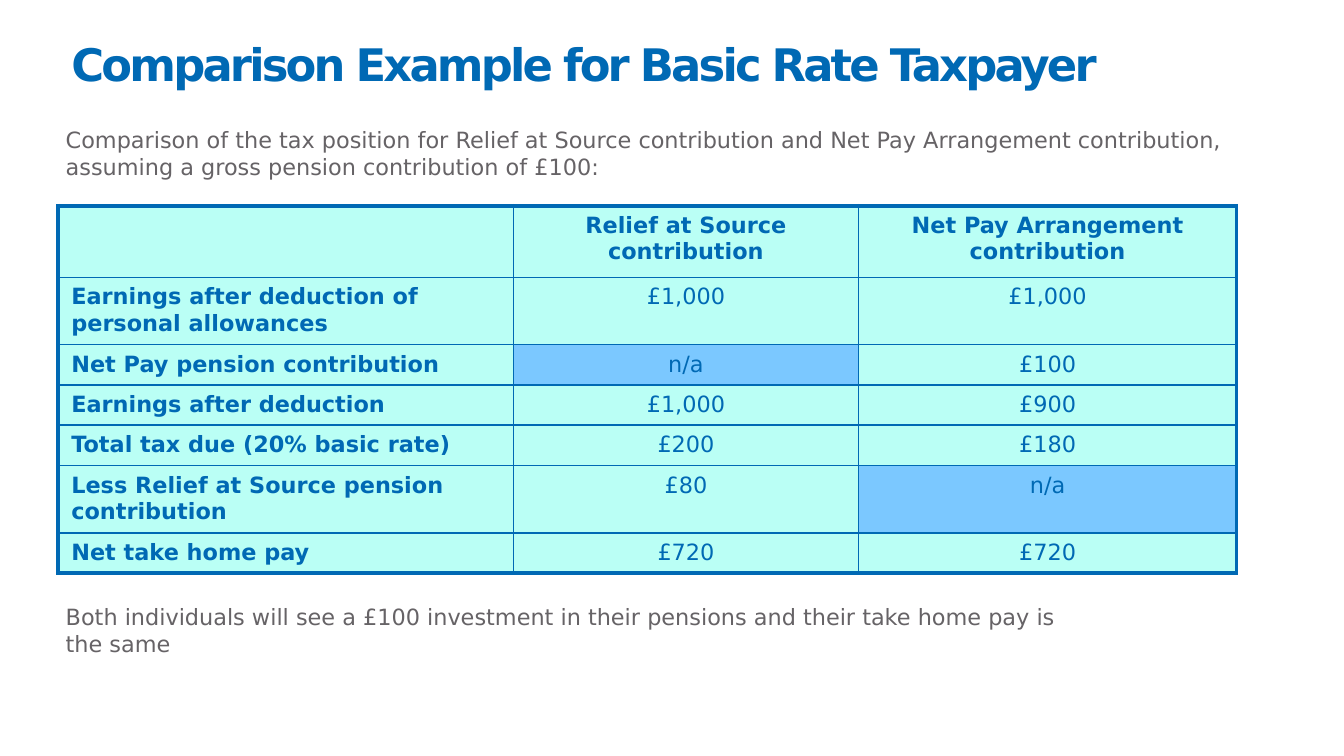
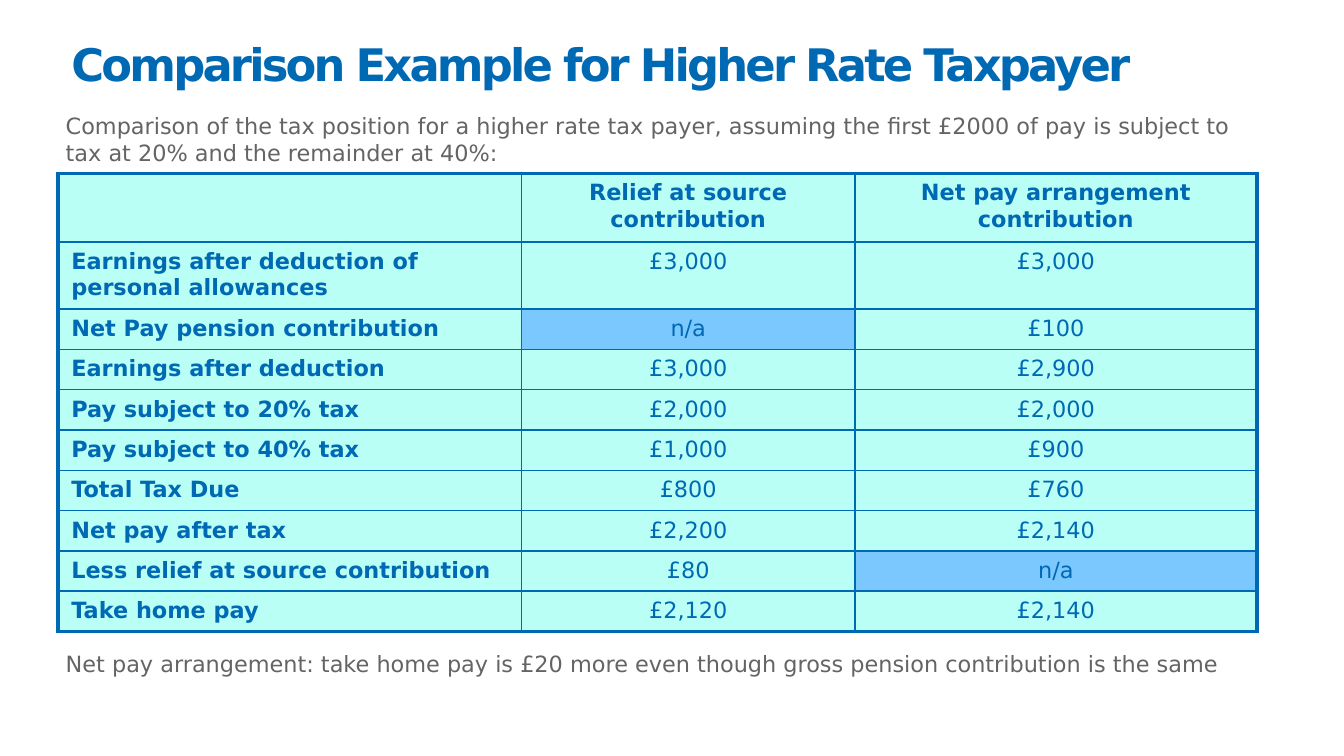
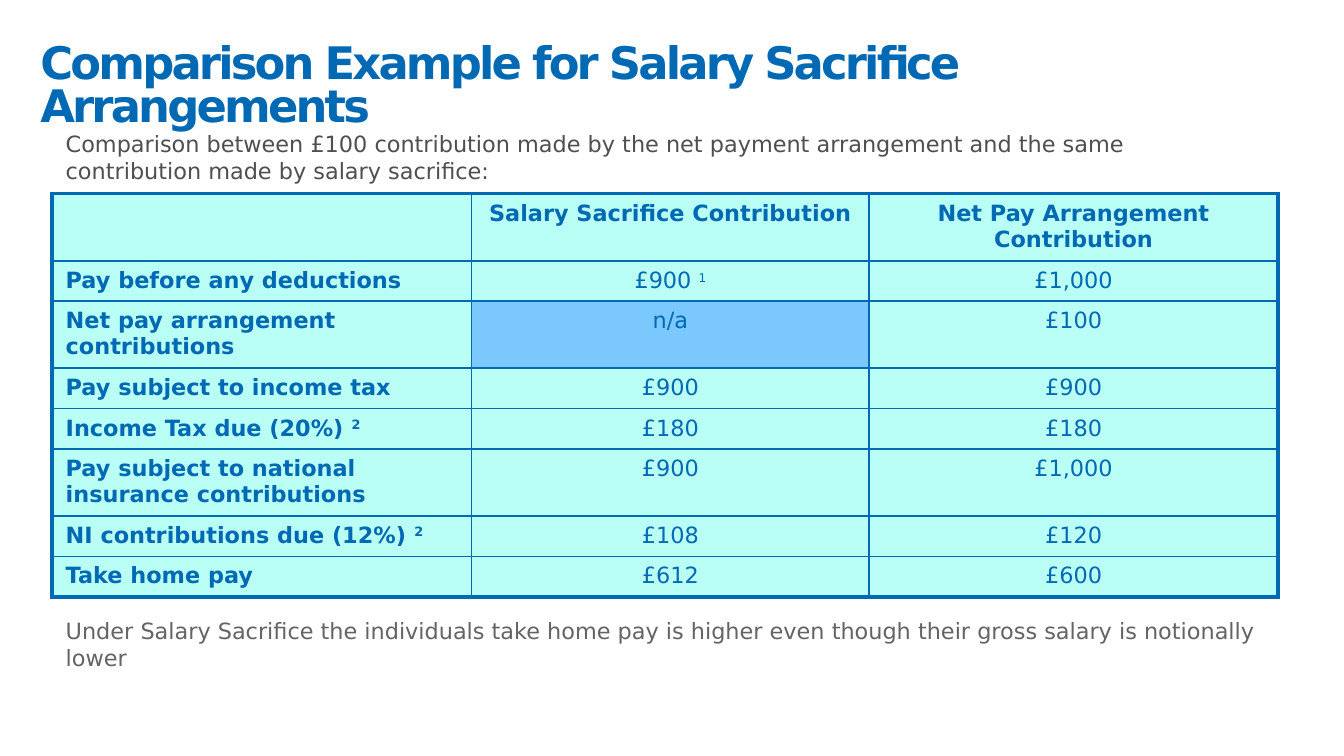
import pptx
import pptx.dml.color
import pptx.enum.text
import pptx.oxml
import pptx.oxml.ns
import pptx.util

Pt = pptx.util.Pt
FONT = "DejaVu Sans"
BLUE = "0069B4"
GREY = "666366"
DARK_GREY = "4F4E50"
MINT = "BAFFF5"
SKY = "7BC8FF"
OUTER_BORDER = 2.25
INNER_BORDER = 1
LINE_HEIGHT = 14.4
CELL_PADDING = 7.2
LEFT = pptx.enum.text.PP_ALIGN.LEFT
CENTER = pptx.enum.text.PP_ALIGN.CENTER


def color(hex_string):
    return pptx.dml.color.RGBColor.from_string(hex_string)


def format_paragraph(paragraph, size, hex_string, bold=False, alignment=LEFT):
    paragraph.alignment = alignment
    paragraph.font.name = FONT
    paragraph.font.size = Pt(size)
    paragraph.font.bold = bold
    paragraph.font.color.rgb = color(hex_string)


def place(shape, left, top, width, height):
    shape.left, shape.top = Pt(left), Pt(top)
    shape.width, shape.height = Pt(width), Pt(height)
    shape.text_frame.auto_size = pptx.enum.text.MSO_AUTO_SIZE.NONE
    shape.text_frame.word_wrap = True


def fill_title(slide, text, box):
    shape = slide.shapes.title
    place(shape, *box)
    shape.text_frame.vertical_anchor = pptx.enum.text.MSO_ANCHOR.MIDDLE
    paragraph = shape.text_frame.paragraphs[0]
    format_paragraph(paragraph, 24, BLUE, bold=True)
    paragraph.line_spacing = 0.8
    run = paragraph.add_run()
    run.text = text
    run._r.get_or_add_rPr().set("spc", "-150")


def fill_body(slide, index, text, box, hex_string=GREY):
    shape = slide.placeholders[index]
    place(shape, *box)
    shape.text_frame.text = text
    paragraph = shape.text_frame.paragraphs[0]
    format_paragraph(paragraph, 12, hex_string)
    paragraph.space_before = Pt(0)
    properties = paragraph._p.get_or_add_pPr()
    properties.set("marL", "0")
    properties.set("indent", "0")
    bullet = pptx.oxml.parse_xml(f"<a:buNone {pptx.oxml.ns.nsdecls('a')}/>")
    properties.find(pptx.oxml.ns.qn("a:defRPr")).addprevious(bullet)


def add_border(cell, side, width):
    cell._tc.get_or_add_tcPr().append(pptx.oxml.parse_xml(
        f'<a:ln{side} {pptx.oxml.ns.nsdecls("a")} w="{Pt(width)}">'
        f'<a:solidFill><a:srgbClr val="{BLUE}"/></a:solidFill></a:ln{side}>'))


def fill_cell(cell, text, is_label, is_header):
    cell.fill.solid()
    cell.fill.fore_color.rgb = color(SKY if text == "n/a" else MINT)
    paragraph = cell.text_frame.paragraphs[0]
    format_paragraph(paragraph, 12, BLUE, bold=is_label or is_header,
                     alignment=LEFT if is_label else CENTER)
    if not text:
        return
    main_text, _, footnote = text.partition("^")
    paragraph.add_run().text = main_text
    if footnote:
        run = paragraph.add_run()
        run.text = footnote
        run.font.size = Pt(12 if is_label else 11)
        run._r.get_or_add_rPr().set("baseline", "30000")


def add_comparison_table(slide, left, top, column_widths, header_height, headers, rows):
    heights = [header_height] + [CELL_PADDING + LINE_HEIGHT * lines for lines, *_ in rows]
    texts = [("", *headers)] + [row[1:] for row in rows]
    frame = slide.shapes.add_table(len(texts), len(column_widths), Pt(left), Pt(top),
                                   Pt(sum(column_widths)), Pt(sum(heights)))
    table = frame.table
    table.first_row = False
    table.horz_banding = False
    for column, width in zip(table.columns, column_widths):
        column.width = Pt(width)
    last_row, last_column = len(texts) - 1, len(column_widths) - 1
    for row_index, row_texts in enumerate(texts):
        table.rows[row_index].height = Pt(heights[row_index])
        for column_index, text in enumerate(row_texts):
            cell = table.cell(row_index, column_index)
            edges = {"L": column_index == 0, "R": column_index == last_column,
                     "T": row_index == 0, "B": row_index == last_row}
            for side, is_outer in edges.items():
                add_border(cell, side, OUTER_BORDER if is_outer else INNER_BORDER)
            fill_cell(cell, text, column_index == 0, row_index == 0)


def add_comparison_slide(presentation, title, title_box, intro, intro_box, table,
                         conclusion, conclusion_box, intro_color=GREY):
    slide = presentation.slides.add_slide(presentation.slide_layouts.get_by_name("Two Content"))
    fill_body(slide, 1, intro, intro_box, intro_color)
    fill_title(slide, title, title_box)
    add_comparison_table(slide, **table)
    fill_body(slide, 2, conclusion, conclusion_box)


def main():
    presentation = pptx.Presentation()
    presentation.slide_width, presentation.slide_height = Pt(720), Pt(405)
    title_box = (31, 10, 624, 53.5)

    add_comparison_slide(
        presentation,
        "Comparison Example for Basic Rate Taxpayer", title_box,
        "Comparison of the tax position for Relief at Source contribution and Net Pay "
        "Arrangement contribution, assuming a gross pension contribution of £100:",
        (28, 64, 642, 44),
        dict(left=31, top=110.2, column_widths=(244, 185, 202.5), header_height=38.4,
             headers=("Relief at Source contribution", "Net Pay Arrangement contribution"),
             rows=[
                 (2, "Earnings after deduction of personal allowances", "£1,000", "£1,000"),
                 (1, "Net Pay pension contribution", "n/a", "£100"),
                 (1, "Earnings after deduction", "£1,000", "£900"),
                 (1, "Total tax due (20% basic rate)", "£200", "£180"),
                 (2, "Less Relief at Source pension contribution", "£80", "n/a"),
                 (1, "Net take home pay", "£720", "£720"),
             ]),
        "Both individuals will see a £100 investment in their pensions and their take home "
        "pay is the same",
        (28, 319.7, 568, 58))

    add_comparison_slide(
        presentation,
        "Comparison Example for Higher Rate Taxpayer", title_box,
        "Comparison of the tax position for a higher rate tax payer, assuming the first £2000 "
        "of pay is subject to tax at 20% and the remainder at 40%:",
        (28, 56.7, 642, 36),
        dict(left=31, top=92.9, column_widths=(248.4, 178.6, 215.3), header_height=36.7,
             headers=("Relief at source contribution", "Net pay arrangement contribution"),
             rows=[
                 (2, "Earnings after deduction of personal allowances", "£3,000", "£3,000"),
                 (1, "Net Pay pension contribution", "n/a", "£100"),
                 (1, "Earnings after deduction", "£3,000", "£2,900"),
                 (1, "Pay subject to 20% tax", "£2,000", "£2,000"),
                 (1, "Pay subject to 40% tax", "£1,000", "£900"),
                 (1, "Total Tax Due", "£800", "£760"),
                 (1, "Net pay after tax", "£2,200", "£2,140"),
                 (1, "Less relief at source contribution", "£80", "n/a"),
                 (1, "Take home pay", "£2,120", "£2,140"),
             ]),
        "Net pay arrangement: take home pay is £20 more even though gross pension "
        "contribution is the same",
        (28, 344.8, 642, 39))

    add_comparison_slide(
        presentation,
        "Comparison Example for Salary Sacrifice Arrangements", (14.4, 8, 684, 78.5),
        "Comparison between £100 contribution made by the net payment arrangement and the "
        "same contribution made by salary sacrifice:",
        (28, 66.2, 642, 37),
        dict(left=28, top=103.7, column_widths=(224.6, 213.1, 218.9), header_height=36,
             headers=("Salary Sacrifice Contribution", "Net Pay Arrangement Contribution"),
             rows=[
                 (1, "Pay before any deductions", "£900 ^1", "£1,000"),
                 (2, "Net pay arrangement contributions", "n/a", "£100"),
                 (1, "Pay subject to income tax", "£900", "£900"),
                 (1, "Income Tax due (20%) ^2", "£180", "£180"),
                 (2, "Pay subject to national insurance contributions", "£900", "£1,000"),
                 (1, "NI contributions due (12%) ^2", "£108", "£120"),
                 (1, "Take home pay", "£612", "£600"),
             ]),
        "Under Salary Sacrifice the individuals take home pay is higher even though their "
        "gross salary is notionally lower",
        (28, 327.1, 656.6, 56), DARK_GREY)

    presentation.save("out.pptx")


if __name__ == "__main__":
    main()
